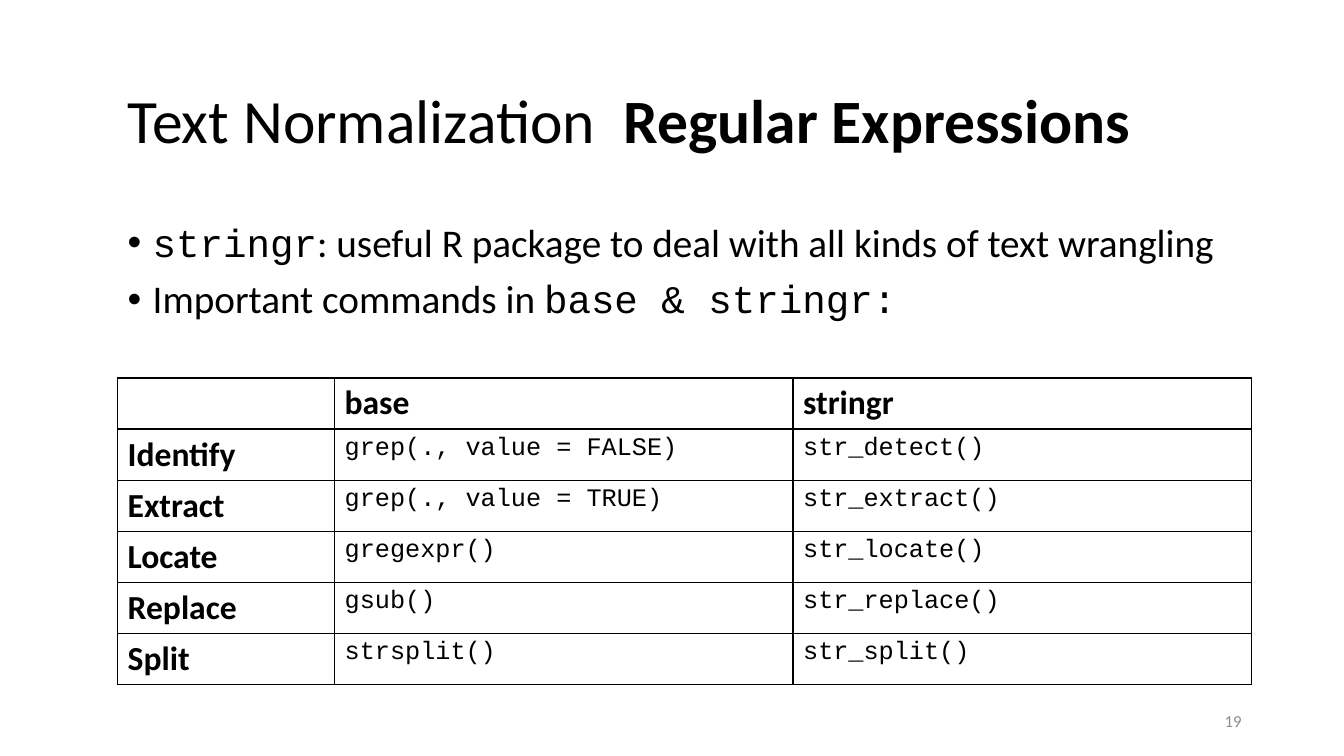
from lxml.etree import SubElement
from pptx import Presentation
from pptx.dml.color import RGBColor
from pptx.enum.text import MSO_ANCHOR as ANCHOR, PP_ALIGN as ALIGN
from pptx.oxml.ns import qn
from pptx.util import Pt

COLORS = {"text": "000000", "border": "000000", "number": "8C8C8C", "bg": "FFFFFF"}
SANS, MONO = "Calibri", "Courier New"
LEFT, WIDTH = 84, 810


def add_run(p, text, size, font=SANS, bold=False, color="text"):
    r = p.add_run()
    r.text = text
    r.font.size, r.font.name, r.font.bold = Pt(size), font, bold
    r.font.color.rgb = RGBColor.from_string(COLORS[color])


def add_borders(cell):
    tcPr = cell._tc.get_or_add_tcPr()
    for side in ("lnL", "lnR", "lnT", "lnB"):
        ln = SubElement(tcPr, qn(f"a:{side}"), w=str(Pt(1)))
        fill = SubElement(ln, qn("a:solidFill"))
        SubElement(fill, qn("a:srgbClr"), val=COLORS["border"])


prs = Presentation()
prs.slide_width, prs.slide_height = Pt(960), Pt(540)
s = prs.slides.add_slide(prs.slide_layouts[5])
s.background.fill.solid()
s.background.fill.fore_color.rgb = RGBColor.from_string(COLORS["bg"])

# Title
title = s.shapes.title
title.left, title.top, title.width, title.height = Pt(LEFT), Pt(44), Pt(WIDTH), Pt(88.5)
tf = title.text_frame
tf.vertical_anchor = ANCHOR.MIDDLE
p = tf.paragraphs[0]
p.alignment, p.line_spacing = ALIGN.LEFT, 0.9
add_run(p, "Text Normalization  ", 44)
add_run(p, "Regular Expressions", 44, bold=True)

# Bullets
bullets = [
    [("stringr", MONO), (": useful R package to deal with all kinds of text wrangling", SANS)],
    [("Important commands in ", SANS), ("base & stringr:", MONO)],
]
tf = s.shapes.add_textbox(Pt(LEFT), Pt(156), Pt(WIDTH), Pt(100)).text_frame
tf.word_wrap = True
for i, runs in enumerate(bullets):
    p = tf.add_paragraph() if i else tf.paragraphs[0]
    p.line_spacing, p.space_before = 0.9, Pt(10)
    pPr = p._p.get_or_add_pPr()
    pPr.set("marL", str(Pt(18)))
    pPr.set("indent", str(-Pt(18)))
    SubElement(pPr, qn("a:buFont"), typeface="Arial")
    SubElement(pPr, qn("a:buChar"), char="•")
    for text, font in runs:
        add_run(p, text, 28, font)

# Command table
commands = [
    ("", "base", "stringr"),
    ("Identify", "grep(., value = FALSE)", "str_detect()"),
    ("Extract", "grep(., value = TRUE)", "str_extract()"),
    ("Locate", "gregexpr()", "str_locate()"),
    ("Replace", "gsub()", "str_replace()"),
    ("Split", "strsplit()", "str_split()"),
]
row_height = 36.5
table = s.shapes.add_table(len(commands), 3, Pt(LEFT), Pt(270), Pt(WIDTH),
                           Pt(row_height * len(commands))).table
table.first_row = table.horz_banding = False
for col, width in zip(table.columns, (155, 327.5, 327.5)):
    col.width = Pt(width)
for i, texts in enumerate(commands):
    table.rows[i].height = Pt(row_height)
    for j, text in enumerate(texts):
        cell = table.cell(i, j)
        add_borders(cell)
        cell.fill.background()
        p = cell.text_frame.paragraphs[0]
        if i == 0 or j == 0:
            if text:
                add_run(p, text, 24, bold=True)
        else:
            add_run(p, text, 18, MONO)

# Slide number
tf = s.shapes.add_textbox(Pt(678), Pt(500.5), Pt(216), Pt(28.75)).text_frame
tf.word_wrap = True
tf.vertical_anchor = ANCHOR.MIDDLE
p = tf.paragraphs[0]
p.alignment = ALIGN.RIGHT
add_run(p, "19", 12, color="number")

prs.save("out.pptx")
